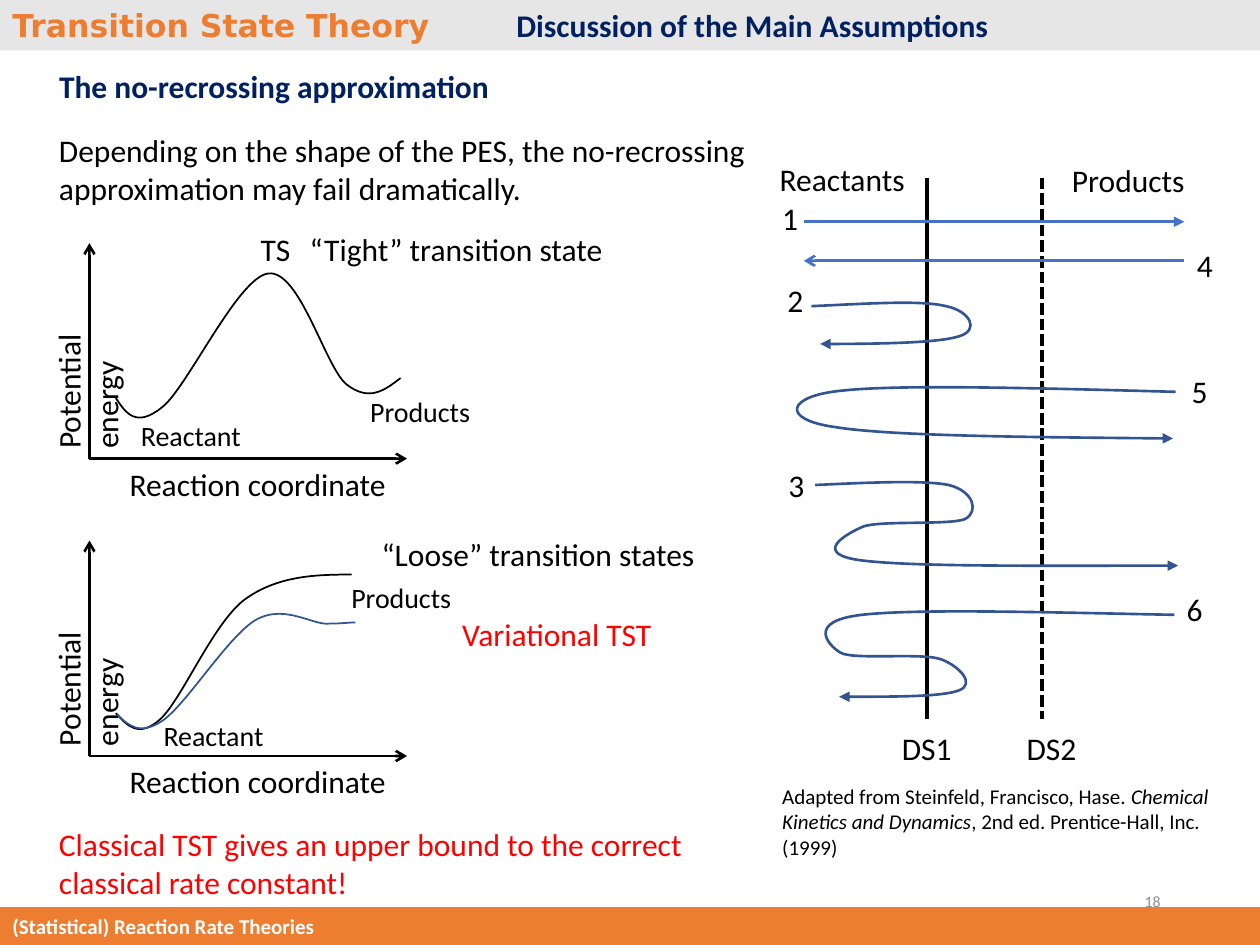
"""Build the slide on the no-recrossing approximation."""
from lxml import etree
from pptx import Presentation
from pptx import util as u
from pptx.dml.color import RGBColor
from pptx.enum import dml, shapes, text
from pptx.oxml.ns import qn

BLACK, NAVY, RED = "000000", "002060", "FF0000"
ORANGE, GREY, WHITE = "ED7D31", "E7E6E6", "FFFFFF"
BLUE, DEEP = "4472C4", "325491"


def cm(inch):
    """Give a grid place in inches as a length."""
    return u.Cm(inch * 2.54)


def rgb(code):
    """Turn a hex string into a colour."""
    return RGBColor.from_string(code)


def write(box, runs, size, wrap=True, grow=True, align=text.PP_ALIGN.LEFT,
          anchor=text.MSO_ANCHOR.TOP):
    """Fill a shape with runs of (words, colour, bold, italic, font)."""
    frame = box.text_frame
    frame.word_wrap = wrap
    frame.auto_size = (text.MSO_AUTO_SIZE.SHAPE_TO_FIT_TEXT if grow
                       else text.MSO_AUTO_SIZE.NONE)
    frame.vertical_anchor = anchor
    para = frame.paragraphs[0]
    para.alignment = align
    for words, hue, bold, slant, face in runs:
        run = para.add_run()
        run.text = words
        font = run.font
        font.name, font.size, font.bold, font.italic = face, u.Pt(size), bold, slant
        font.color.rgb = rgb(hue)


def part(words, hue=BLACK, bold=False, slant=False, face="Calibri"):
    """Describe one run."""
    return words, hue, bold, slant, face


def label(slide, at, runs, size=18, turn=0, **look):
    """Add a text box."""
    box = slide.shapes.add_textbox(*map(cm, at))
    box.rotation = turn
    write(box, runs, size, **look)


def tag(slide, at, words, hue=BLACK, size=18):
    """Add a one-line label that does not wrap."""
    label(slide, at, [part(words, hue)], size, wrap=False)


def band(slide, at, fill, runs, size):
    """Add a filled band with text."""
    box = slide.shapes.add_shape(shapes.MSO_SHAPE.RECTANGLE, *map(cm, at))
    box.shadow.inherit = False
    box.fill.solid()
    box.fill.fore_color.rgb = rgb(fill)
    box.line.fill.background()
    write(box, runs, size)


def stroke(item, hue, width, tip=None, end="tailEnd"):
    """Set line colour, width and arrowhead."""
    item.line.color.rgb = rgb(hue)
    item.line.width = u.Pt(width)
    if tip:
        etree.SubElement(item.line._get_or_add_ln(), qn("a:" + end), type=tip)


def line(slide, ends, hue, width, tip=None, end="tailEnd", dash=None):
    """Add a straight line."""
    link = slide.shapes.add_connector(shapes.MSO_CONNECTOR.STRAIGHT, *map(cm, ends))
    if dash:
        link.line.dash_style = dash
    stroke(link, hue, width, tip, end)
    etree.SubElement(link._element.spPr, qn("a:effectLst"))


def blend(a, b, c, d, t):
    """Find the point at t on a cubic curve."""
    s = 1 - t
    return tuple(s**3 * p + 3 * s * s * t * q + 3 * s * t * t * r + t**3 * v
                 for p, q, r, v in zip(a, b, c, d))


def curve(slide, dots, hue, width, tip=None):
    """Add an open curve through a start and triples of cubic points."""
    trace = [blend(*dots[i:i + 4], k / 20)
             for i in range(0, len(dots) - 1, 3) for k in range(21)]
    trace = [(cm(x), cm(y)) for x, y in trace]
    pen = slide.shapes.build_freeform(*trace[0])
    pen.add_line_segments(trace[1:], close=False)
    shape = pen.convert_to_shape()
    shape.shadow.inherit = False
    shape.fill.background()
    stroke(shape, hue, width, tip)
    track = shape._element.find(".//" + qn("a:path"))
    for step in list(track):
        track.remove(step)
    for i, (x, y) in enumerate(dots):
        if i % 3 == 1 or i == 0:
            step = etree.SubElement(track, qn("a:cubicBezTo" if i else "a:moveTo"))
        etree.SubElement(step, qn("a:pt"), x=str(cm(x) - shape.left),
                         y=str(cm(y) - shape.top))


def axes(slide, base):
    """Add a pair of axes with their names."""
    label(slide, (-0.3, base - 0.98, 1.64, 0.36), [part("Potential energy")],
          turn=270, grow=False)
    for x, y in ((0.71, base - 1.71), (3.23, base)):
        line(slide, (0.71, base, x, y), BLACK, 1.5, "arrow")
    tag(slide, (0.93, base, 2.26, 0.4), "Reaction coordinate")


def plots(slide):
    """Add the tight and loose energy plots."""
    for base in (3.64, 6):
        axes(slide, base)
    curve(slide, [(0.92, 3.16), (1, 3.28), (1.08, 3.4), (1.29, 3.23),
                  (1.49, 3.07), (1.89, 2.2), (2.13, 2.17), (2.38, 2.14),
                  (2.58, 2.91), (2.75, 3.05), (2.93, 3.19), (3.05, 3.1),
                  (3.18, 3)], BLACK, 1)
    curve(slide, [(0.92, 5.66), (1.01, 5.76), (1.1, 5.86), (1.27, 5.71),
                  (1.44, 5.56), (1.69, 4.95), (1.94, 4.76), (2.2, 4.57),
                  (2.5, 4.56), (2.79, 4.56)], BLACK, 1)
    curve(slide, [(0.93, 5.67), (1.02, 5.76), (1.11, 5.84), (1.29, 5.72),
                  (1.48, 5.59), (1.81, 5.05), (2.03, 4.92), (2.24, 4.8),
                  (2.45, 4.94), (2.58, 4.95), (2.72, 4.95), (2.77, 4.94),
                  (2.82, 4.94)], DEEP, 1)
    for x, y, words in ((1.02, 3.27, "Reactant"), (2.84, 3.08, "Products"),
                        (1.2, 5.65, "Reactant"), (2.69, 4.56, "Products")):
        tag(slide, (x, y, 1, 0.37), words, size=16)
    tag(slide, (1.97, 1.78, 0.44, 0.4), "TS")
    tag(slide, (2.36, 1.78, 2.55, 0.4), "“Tight” transition state")
    tag(slide, (2.93, 4.2, 2.71, 0.4), "“Loose” transition states")
    tag(slide, (3.57, 4.83, 1.72, 0.4), "Variational TST", RED)


def paths(slide):
    """Add the dividing surfaces and the six crossing paths."""
    line(slide, (8.27, 1.41, 8.27, 5.71), BLACK, 2.25,
         dash=dml.MSO_LINE.SQUARE_DOT)
    line(slide, (7.36, 1.41, 7.36, 5.71), BLACK, 2.25)
    line(slide, (6.38, 1.76, 9.4, 1.76), BLUE, 1.5, "triangle")
    line(slide, (6.38, 2.07, 9.4, 2.07), BLUE, 1.5, "arrow", "headEnd")
    for dots in (
        [(6.44, 2.43), (6.88, 2.41), (7.31, 2.38), (7.51, 2.43), (7.7, 2.47),
         (7.78, 2.62), (7.61, 2.67), (7.45, 2.72), (6.98, 2.73), (6.51, 2.73)],
        [(9.33, 3.11), (8.23, 3.08), (7.14, 3.05), (6.69, 3.1), (6.24, 3.14),
         (6.19, 3.33), (6.63, 3.39), (7.06, 3.46), (8.18, 3.47), (9.31, 3.48)],
        [(6.47, 3.85), (6.9, 3.83), (7.33, 3.81), (7.53, 3.85), (7.73, 3.9),
         (7.77, 4.06), (7.66, 4.12), (7.54, 4.17), (6.98, 4.13), (6.85, 4.18),
         (6.71, 4.24), (6.43, 4.4), (6.85, 4.45), (7.27, 4.5), (8.31, 4.49),
         (9.35, 4.49)],
        [(9.32, 4.88), (8.3, 4.86), (7.28, 4.83), (6.84, 4.88), (6.4, 4.93),
         (6.57, 5.12), (6.67, 5.18), (6.77, 5.24), (7.3, 5.18), (7.46, 5.23),
         (7.61, 5.28), (7.75, 5.43), (7.61, 5.48), (7.48, 5.53), (7.07, 5.53),
         (6.66, 5.53)],
    ):
        curve(slide, dots, DEEP, 1.5, "triangle")
    for x, y, wide, words in (
        (6.09, 1.22, 1.2, "Reactants"), (8.41, 1.23, 1.1, "Products"),
        (7.06, 5.74, 0.6, "DS1"), (8.05, 5.74, 0.6, "DS2"),
        (6.11, 1.53, 0.33, "1"), (6.15, 2.18, 0.33, "2"),
        (6.16, 3.65, 0.33, "3"), (9.4, 1.9, 0.33, "4"),
        (9.36, 2.9, 0.33, "5"), (9.32, 4.63, 0.33, "6"),
    ):
        tag(slide, (x, y, wide, 0.4), words)
    label(slide, (6.11, 6.17, 3.74, 0.71),
          [part("Adapted from Steinfeld, Francisco, Hase. "),
           part("Chemical Kinetics and Dynamics", slant=True),
           part(", 2nd ed. Prentice-Hall, Inc. (1999)")], 12)


def main():
    """Build and save the slide."""
    deck = Presentation()
    deck.slide_width, deck.slide_height = cm(10), cm(7.5)
    slide = deck.slides.add_slide(deck.slide_layouts[6])
    band(slide, (0, 0, 10, 0.4), GREY,
         [part("Transition State Theory\t\t", ORANGE, True, face="DejaVu Sans"),
          part("Discussion of the Main Assumptions", NAVY, True)], 18)
    label(slide, (0.37, 0.48, 5.89, 0.4),
          [part("The no-recrossing approximation", NAVY, True)])
    label(slide, (0.37, 0.99, 5.77, 1.01),
          [part("Depending on the shape of the PES, the no-recrossing "
                "approximation may fail dramatically.")])
    plots(slide)
    label(slide, (0.37, 6.5, 5.93, 0.71),
          [part("Classical TST gives an upper bound to the correct "
                "classical rate constant!", RED)])
    paths(slide)
    label(slide, (7.06, 6.95, 2.25, 0.4), [part("18", "8C8C8C")], 9, grow=False,
          align=text.PP_ALIGN.RIGHT, anchor=text.MSO_ANCHOR.MIDDLE)
    band(slide, (0, 7.2, 10, 0.3), ORANGE,
         [part("(Statistical) Reaction Rate Theories", WHITE, True)], 12)
    deck.save("out.pptx")


if __name__ == "__main__":
    main()
